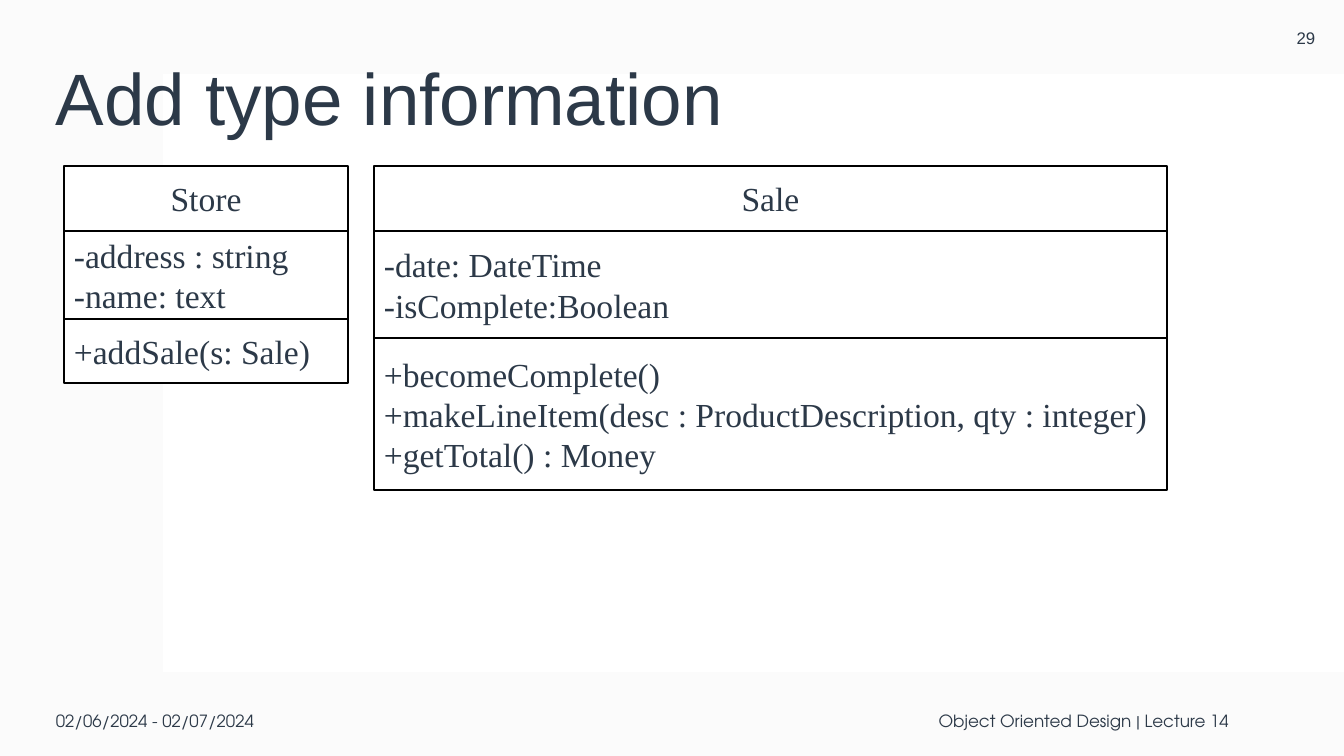
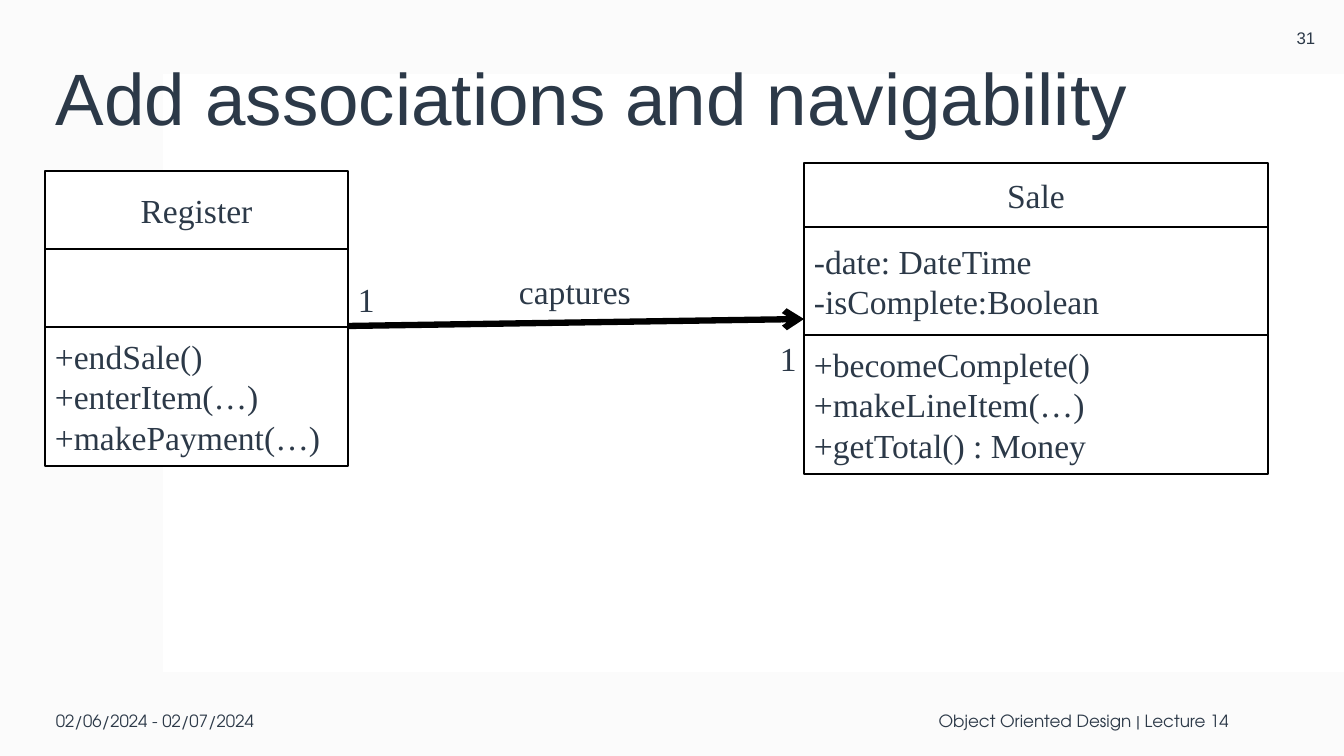
from lxml import etree
from pptx import Presentation
from pptx import util as u
from pptx.dml.color import RGBColor
from pptx.enum import shapes, text
from pptx.oxml.ns import qn

SCALE = 914400 / 100.8  # EMU in one px
INK, WHITE, BLACK, PALE = "2C3948", "FFFFFF", "000000", "F4F4F4"
HEADING, FOOTING, DIAGRAM = "Arial", "TeX Gyre Adventor", "Times New Roman"
LEFT, CENTER, RIGHT = text.PP_ALIGN.LEFT, text.PP_ALIGN.CENTER, text.PP_ALIGN.RIGHT
TOP, MIDDLE = text.MSO_ANCHOR.TOP, text.MSO_ANCHOR.MIDDLE


def rgb(color):
    return RGBColor.from_string(color)


def put(slide, box, content="", *, size=24, font=DIAGRAM, align=LEFT,
        anchor=MIDDLE, spacing=None, fill=None, line=None):
    """Place text in a box given in px; a fill makes the box a rectangle."""
    place = [round(v * SCALE) for v in box]
    if fill:
        item = slide.shapes.add_shape(shapes.MSO_SHAPE.RECTANGLE, *place)
        item.shadow.inherit = False
        item.fill.solid()
        item.fill.fore_color.rgb = rgb(fill)
        if line:
            item.line.color.rgb = rgb(line)
            item.line.width = u.Pt(1)
        else:
            item.line.fill.background()
    else:
        item = slide.shapes.add_textbox(*place)
    if content:
        frame = item.text_frame
        frame.word_wrap = True
        frame.vertical_anchor = anchor
        frame.text = content
        for paragraph in frame.paragraphs:
            paragraph.alignment = align
            paragraph.line_spacing = spacing
            paragraph.font.size = u.Pt(size)
            paragraph.font.name = font
            paragraph.font.color.rgb = rgb(INK)
    return item


# Each class: left, top, width, then (height, text) for name, attributes, operations
pages = [
    ("Add type information", "29", [
        (374, 166, 793, [
            (65, "Sale"),
            (107, "-date: DateTime\n-isComplete:Boolean"),
            (152, "+becomeComplete()\n"
                  "+makeLineItem(desc : ProductDescription, qty : integer)\n"
                  "+getTotal() : Money")]),
        (64, 166, 284, [
            (65, "Store"),
            (88, "-address : string\n-name: text"),
            (64, "+addSale(s: Sale)")]),
    ]),
    ("Add associations and navigability", "31", [
        (45, 171, 303, [
            (78, "Register"),
            (78, ""),
            (139, "+endSale()\n+enterItem(…)\n+makePayment(…)")]),
        (804, 163, 464, [
            (64, "Sale"),
            (108, "-date: DateTime\n-isComplete:Boolean"),
            (139, "+becomeComplete()\n+makeLineItem(…)\n+getTotal() : Money")]),
    ]),
]

deck = Presentation()
deck.slide_width, deck.slide_height = (round(v * SCALE) for v in (1344, 756))

for title, number, classes in pages:
    slide = deck.slides.add_slide(deck.slide_layouts[6])
    backdrop = put(slide, (0, 0, 1344, 756), fill=PALE)
    tint = backdrop.fill._xPr.find(".//" + qn("a:srgbClr"))
    etree.SubElement(tint, qn("a:alpha"), val="35000")
    put(slide, (163, 74, 1181, 598), fill=WHITE)

    put(slide, (46, 40, 1191, 124), title, size=52, font=HEADING, spacing=0.9)
    put(slide, (1268, 0, 76, 76), number, size=12, font=HEADING, align=CENTER)
    put(slide, (46, 685, 302, 71), "02/06/2024 - 02/07/2024", size=12, font=FOOTING)
    put(slide, (415, 685, 824, 71), "Object Oriented Design | Lecture 14",
        size=12, font=FOOTING, align=RIGHT)

    for left, top, width, compartments in classes:
        for row, (height, content) in enumerate(compartments):
            put(slide, (left, top, width, height), content, fill=WHITE, line=BLACK,
                align=LEFT if row else CENTER)
            top += height

# The association on the last slide
ends = [round(v * SCALE) for v in (348, 326, 804, 319)]
captures = slide.shapes.add_connector(shapes.MSO_CONNECTOR.STRAIGHT, *ends)
captures.line.color.rgb = rgb(BLACK)
captures.line.width = u.Pt(4.5)
etree.SubElement(captures.line._get_or_add_ln(), qn("a:tailEnd"), type="arrow")
etree.SubElement(captures._element.spPr, qn("a:effectLst"))

for box, label in [((348, 274, 35, 50), "1"),
                   ((770, 333, 35, 50), "1"),
                   ((509, 266, 188, 50), "captures")]:
    put(slide, box, label, anchor=TOP)

deck.save("out.pptx")
